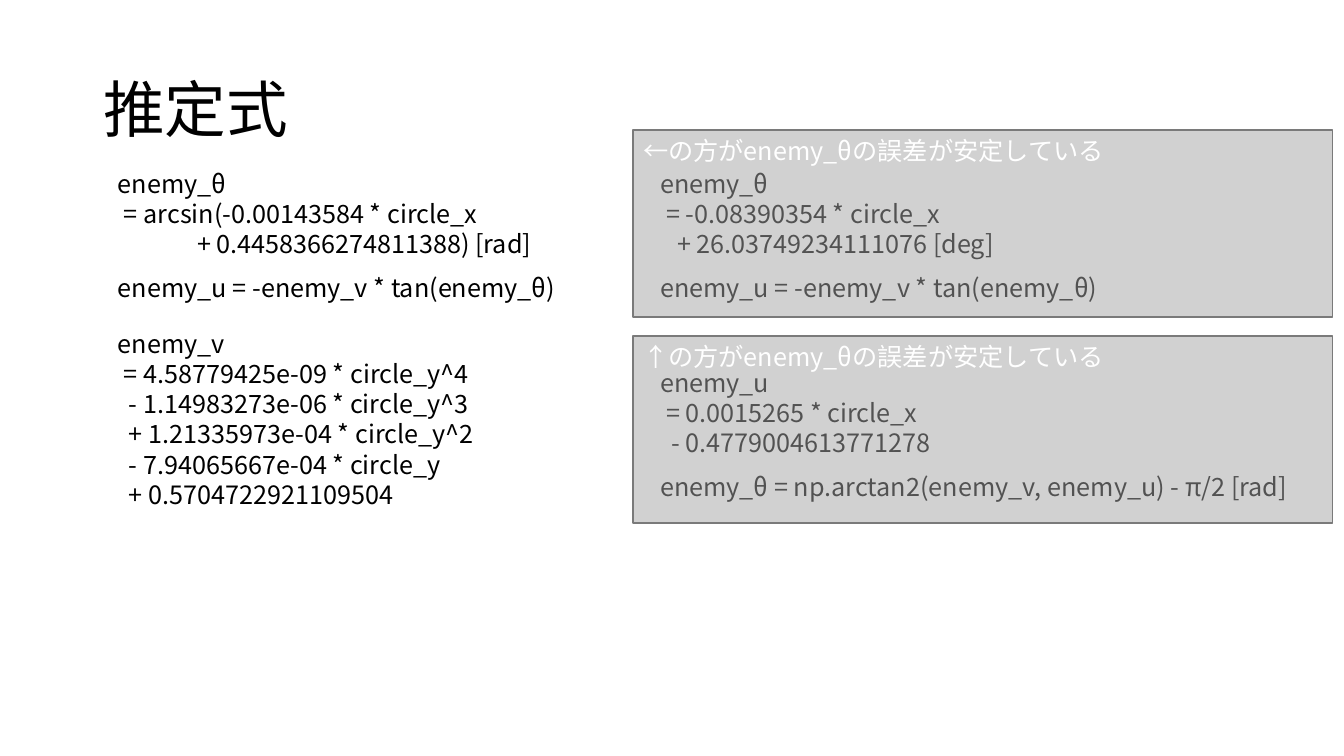
from dataclasses import dataclass

from lxml import etree
from pptx import Presentation
from pptx.dml.color import RGBColor
from pptx.enum.shapes import MSO_SHAPE
from pptx.enum.text import MSO_ANCHOR, MSO_AUTO_SIZE, PP_ALIGN
from pptx.oxml.ns import qn
from pptx.slide import Slide
from pptx.text.text import TextFrame
from pptx.util import Inches, Pt

RECT = MSO_SHAPE.RECTANGLE
TOP, MIDDLE = MSO_ANCHOR.TOP, MSO_ANCHOR.MIDDLE
FIXED, GROW = MSO_AUTO_SIZE.NONE, MSO_AUTO_SIZE.SHAPE_TO_FIT_TEXT
LEFT = PP_ALIGN.LEFT
FACE = "Noto Sans CJK JP"
PX = 914400 / 100.8
ROW = 30.4
COL_A, COL_B = 118, 660
ROW_A, ROW_B = 168, 272

Line = tuple[int, str]  # indent in px, text


@dataclass
class Formula:
    left: int
    top: int
    width: int
    lines: list[Line]


@dataclass
class Panel:
    top: int
    note: str


TAN = [(0, "enemy_u = -enemy_v * tan(enemy_θ)")]
FORMULAS = [
    Formula(COL_A, ROW_A, 449, [
        (0, "enemy_θ"),
        (6, "= arcsin(-0.00143584 * circle_x"),
        (79, "+ 0.4458366274811388) [rad]"),
    ]),
    Formula(COL_A, ROW_B, 452, TAN),
    Formula(COL_A, 328, 369, [
        (0, "enemy_v"),
        (6, "= 4.58779425e-09 * circle_y^4"),
        (11, "- 1.14983273e-06 * circle_y^3"),
        (11, "+ 1.21335973e-04 * circle_y^2"),
        (11, "- 7.94065667e-04 * circle_y"),
        (11, "+ 0.5704722921109504"),
    ]),
    Formula(COL_B, 367, 280, [
        (0, "enemy_u"),
        (6, "= 0.0015265 * circle_x"),
        (11, "- 0.4779004613771278"),
    ]),
    Formula(COL_B, 471, 672, [
        (0, "enemy_θ = np.arctan2(enemy_v, enemy_u) - π/2 [rad]"),
    ]),
    Formula(COL_B, ROW_A, 350, [
        (0, "enemy_θ"),
        (6, "= -0.08390354 * circle_x"),
        (17, "+ 26.03749234111076 [deg]"),
    ]),
    Formula(COL_B, ROW_B, 452, TAN),
]
PANELS = [
    Panel(336, "↑の方がenemy_θの誤差が安定している"),
    Panel(130, "←の方がenemy_θの誤差が安定している"),
]


def emu(px: float) -> int:
    return round(px * PX)


def rgb(code: str) -> RGBColor:
    return RGBColor.from_string(code)


def write(frame: TextFrame, lines: list[Line], *, size: int = 18,
          color: str = "000000", anchor: MSO_ANCHOR = TOP,
          space: float = 1.0) -> None:
    frame.vertical_anchor = anchor
    for i, (indent, text) in enumerate(lines):
        para = frame.add_paragraph() if i else frame.paragraphs[0]
        para.alignment = LEFT
        para.line_spacing = space
        if indent:
            props = para._p.get_or_add_pPr()
            props.set("marL", str(emu(indent)))
            props.set("indent", "0")
        run = para.add_run()
        run.text = text
        font = run.font
        font.size = Pt(size)
        font.color.rgb = rgb(color)
        font.name = FACE
        etree.SubElement(run._r.get_or_add_rPr(), qn("a:ea"), typeface=FACE)


def add_title(slide: Slide, text: str) -> None:
    title = slide.shapes.title
    title.left, title.top = emu(93), emu(40)
    title.width, title.height = emu(1159), emu(146)
    title.text_frame.auto_size = FIXED
    write(title.text_frame, [(0, text)], size=44, anchor=MIDDLE, space=0.9)


def add_formula(slide: Slide, item: Formula) -> None:
    box = slide.shapes.add_textbox(
        emu(item.left), emu(item.top), emu(item.width),
        emu(ROW * len(item.lines)))
    frame = box.text_frame
    frame.margin_left = frame.margin_right = 0
    frame.margin_top = frame.margin_bottom = 0
    frame.word_wrap = False
    frame.auto_size = GROW
    write(frame, item.lines)


def add_panel(slide: Slide, item: Panel) -> None:
    """Draw a half-clear grey cover with its note."""
    cover = slide.shapes.add_shape(
        RECT, emu(633), emu(item.top), emu(699), emu(187))
    cover.shadow.inherit = False
    cover.fill.solid()
    cover.fill.fore_color.rgb = rgb("A5A5A5")
    tint = cover._element.spPr.find(qn("a:solidFill"))[0]
    etree.SubElement(tint, qn("a:alpha"), val="50000")
    cover.line.color.rgb = rgb("7A7A7A")
    cover.line.width = Pt(1)
    write(cover.text_frame, [(0, item.note)], color="FFFFFF")


def main() -> None:
    deck = Presentation()
    deck.slide_width, deck.slide_height = Inches(13.33), Inches(7.5)
    slide = deck.slides.add_slide(deck.slide_layouts[5])
    add_title(slide, "推定式")
    for formula in FORMULAS:
        add_formula(slide, formula)
    for panel in PANELS:
        add_panel(slide, panel)
    deck.save("out.pptx")


if __name__ == "__main__":
    main()
